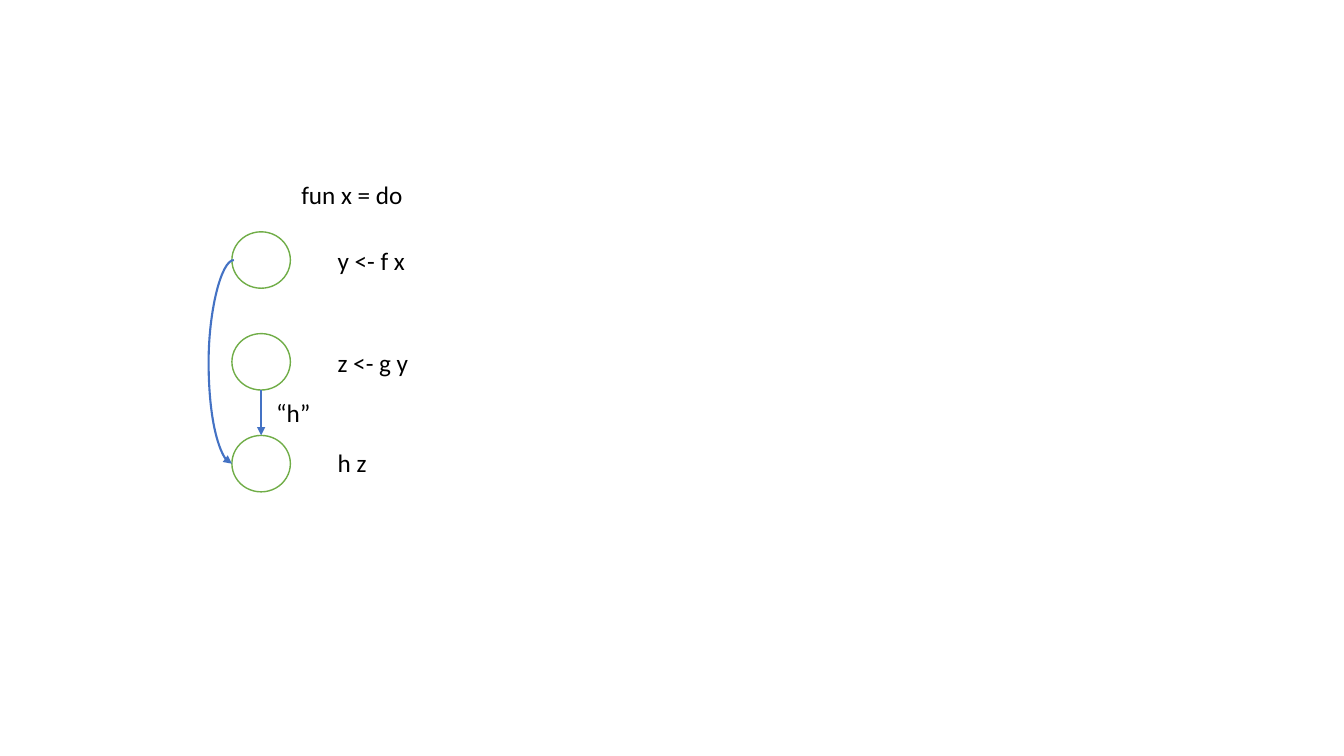
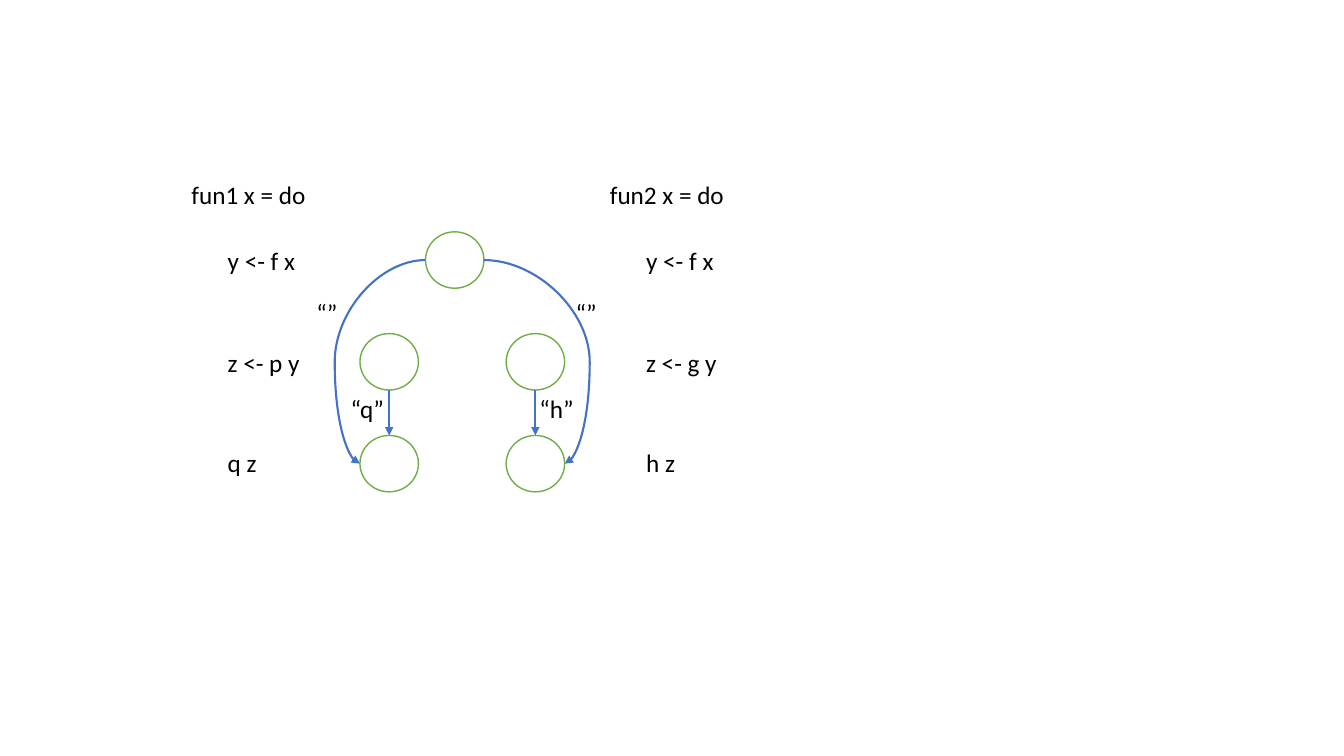
import dataclasses

import pptx
import pptx.dml.color
import pptx.enum.shapes
import pptx.enum.text
import pptx.oxml.ns
import pptx.oxml.xmlchemy
import pptx.util

Inches = pptx.util.Inches
Pt = pptx.util.Pt
RGB = pptx.dml.color.RGBColor
qn = pptx.oxml.ns.qn
CONNECTOR = pptx.enum.shapes.MSO_CONNECTOR


@dataclasses.dataclass(frozen=True)
class Theme:
    font: str = "Calibri"
    text_size: float = 18
    text: RGB = RGB(0x00, 0x00, 0x00)
    node_fill: RGB = RGB(0xFF, 0xFF, 0xFF)
    node_line: RGB = RGB(0x70, 0xAD, 0x47)
    node_weight: float = 1
    arrow: RGB = RGB(0x44, 0x72, 0xC4)
    arrow_weight: float = 1.5


theme = Theme()

NODE_W, NODE_H = 0.58, 0.56
NODE_TOPS = [2.3, 3.31, 4.32]
CODE_TOPS = [2.38, 3.4, 4.39]
HEADER_TOP = 1.73
INDENT = 0.36
TEXT_H = 0.4


def add_text(s, text, left, top, width):
    sp = s.shapes.add_textbox(Inches(left), Inches(top), Inches(width), Inches(TEXT_H))
    tf = sp.text_frame
    tf.word_wrap = False
    tf.auto_size = pptx.enum.text.MSO_AUTO_SIZE.SHAPE_TO_FIT_TEXT
    r = tf.paragraphs[0].add_run()
    r.text = text
    r.font.name = theme.font
    r.font.size = Pt(theme.text_size)
    r.font.color.rgb = theme.text


def add_arrow(s, x1, y1, x2, y2, bend=None):
    kind = CONNECTOR.STRAIGHT if bend is None else CONNECTOR.CURVE
    c = s.shapes.add_connector(kind, Inches(x1), Inches(y1), Inches(x2), Inches(y2))
    c.line.color.rgb = theme.arrow
    c.line.width = Pt(theme.arrow_weight)
    spPr = c._element.spPr
    tail = spPr.find(qn("a:ln")).makeelement(qn("a:tailEnd"), {"type": "triangle"})
    spPr.find(qn("a:ln")).append(tail)
    spPr.append(spPr.makeelement(qn("a:effectLst"), {}))
    if bend is not None:
        ratio = round((bend - x1) / (x2 - x1) * 100000)
        guides = spPr.find(qn("a:prstGeom")).find(qn("a:avLst"))
        guides.append(guides.makeelement(qn("a:gd"), {"name": "adj1", "fmla": f"val {ratio}"}))


slides = [
    {
        "top_node": 2.3,
        "branches": [2.3],
        "curves": [(2.32, 2.3, 2.07)],
        "code": [
            (2.89, ("fun x = do", 1.22), [("y <- f x", 0.88), ("z <- g y", 0.91), ("h z", 0.49)]),
        ],
        "labels": [("“h”", 2.64, 3.89, 0.55)],
    },
    {
        "top_node": 4.22,
        "branches": [3.57, 5.02],
        "curves": [(4.22, 3.57, 3.32), (4.8, 5.6, 5.85)],
        "code": [
            (1.8, ("fun1 x = do", 1.35), [("y <- f x", 0.88), ("z <- p y", 0.93), ("q z", 0.49)]),
            (5.95, ("fun2 x = do", 1.35), [("y <- f x", 0.88), ("z <- g y", 0.91), ("h z", 0.49)]),
        ],
        "labels": [
            ("“h”", 5.25, 3.85, 0.55),
            ("“q”", 3.38, 3.85, 0.53),
            ("“”", 3.04, 2.9, 0.41),
            ("“”", 5.61, 2.9, 0.41),
        ],
    },
]

prs = pptx.Presentation()
prs.slide_width = Inches(13.33)
prs.slide_height = Inches(7.5)

for content in slides:
    s = prs.slides.add_slide(prs.slide_layouts[6])

    nodes = [(content["top_node"], NODE_TOPS[0])]
    nodes += [(left, top) for left in content["branches"] for top in NODE_TOPS[1:]]
    for left, top in nodes:
        sp = s.shapes.add_shape(
            pptx.enum.shapes.MSO_SHAPE.OVAL,
            Inches(left), Inches(top), Inches(NODE_W), Inches(NODE_H),
        )
        sp.shadow.inherit = False
        sp.fill.solid()
        sp.fill.fore_color.rgb = theme.node_fill
        sp.line.color.rgb = theme.node_line
        sp.line.width = Pt(theme.node_weight)

    for left in content["branches"]:
        center = left + NODE_W / 2
        add_arrow(s, center, NODE_TOPS[1] + NODE_H, center, NODE_TOPS[2])

    for start, end, bend in content["curves"]:
        add_arrow(s, start, NODE_TOPS[0] + NODE_H / 2, end, NODE_TOPS[2] + NODE_H / 2, bend)

    for left, (header, header_width), lines in content["code"]:
        add_text(s, header, left, HEADER_TOP, header_width)
        for (line, width), top in zip(lines, CODE_TOPS):
            add_text(s, line, left + INDENT, top, width)

    for label, left, top, width in content["labels"]:
        add_text(s, label, left, top, width)

prs.save("out.pptx")
